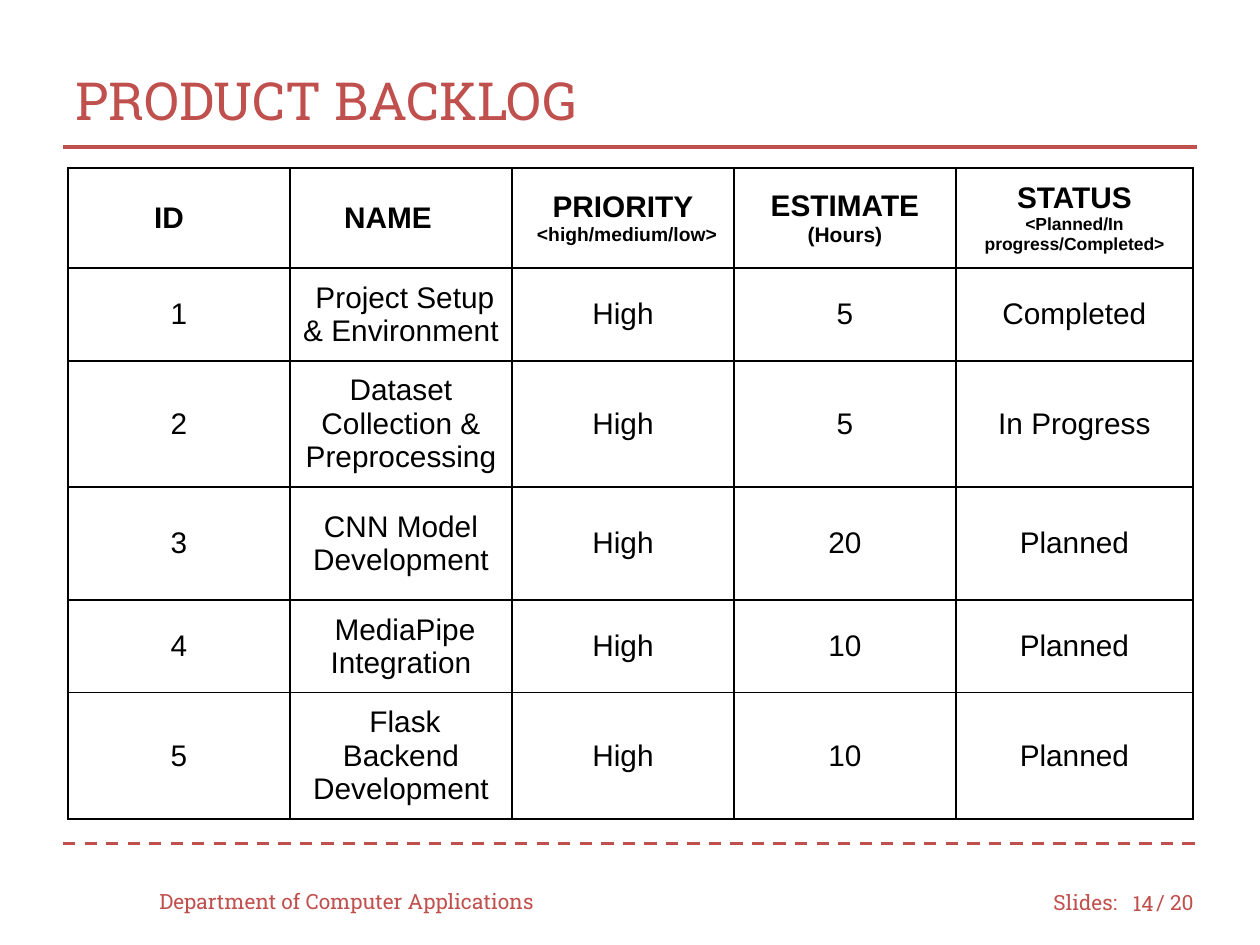
from pptx import Presentation
from pptx.dml.color import RGBColor
from pptx.enum.dml import MSO_LINE
from pptx.enum.shapes import MSO_CONNECTOR
from pptx.enum.text import MSO_ANCHOR, PP_ALIGN
from pptx.oxml.ns import qn
from pptx.util import Emu, Pt
from lxml import etree

LEFT, CENTER, RIGHT = PP_ALIGN.LEFT, PP_ALIGN.CENTER, PP_ALIGN.RIGHT
MIDDLE = MSO_ANCHOR.MIDDLE
DASH = MSO_LINE.DASH
STRAIGHT = MSO_CONNECTOR.STRAIGHT
TITLE_ONLY = 5

COLORS = {"accent": "C0504D", "text": "000000", "cell": "FFFFFF"}
SLAB, SANS = "Roboto Slab", "Arial"
CELL_MARGIN = 13

COLUMN_WIDTHS = [222, 222, 222, 222, 237]
ROW_HEIGHTS = [100, 91, 126, 113, 92, 126]
# Each heading is a list of lines: text, size, alignment, left indent
HEADINGS = [
    [("ID", 17, LEFT, 73)],
    [("NAME", 17, LEFT, 41)],
    [("PRIORITY", 17, CENTER, 0), ("<high/medium/low>", 11, LEFT, 12)],
    [("ESTIMATE", 17, CENTER, 0), ("(Hours)", 12, CENTER, 0)],
    [("STATUS", 17, CENTER, 0), ("<Planned/In progress/Completed>", 10, CENTER, 0)],
]
# Name, first-line indent, priority, hours, status
TASKS = [
    ("Project Setup & Environment", 8, "High", "5", "Completed"),
    ("Dataset Collection & Preprocessing", 0, "High", "5", "In Progress"),
    ("CNN Model Development", 0, "High", "20", "Planned"),
    ("MediaPipe Integration", 8, "High", "10", "Planned"),
    ("Flask Backend Development", 8, "High", "10", "Planned"),
]


def px(length):
    return Emu(round(length * 914400 / 126))


def color(name):
    return RGBColor.from_string(COLORS[name])


def write(para, text, size=17, font=SANS, fill="text", bold=False,
          align=CENTER, margin=0, indent=0):
    """Fill a paragraph with one formatted span."""
    para.alignment = align
    properties = para._p.get_or_add_pPr()
    properties.set("marL", str(px(margin)))
    properties.set("indent", str(px(indent)))
    span = para.add_run()
    span.text = text
    span.font.size = Pt(size)
    span.font.name = font
    span.font.bold = bold
    span.font.color.rgb = color(fill)


def add_rule(page, left, top, width, dash=None):
    rule = page.shapes.add_connector(
        STRAIGHT, px(left), px(top), px(left + width), px(top))
    rule.line.color.rgb = color("accent")
    rule.line.width = Pt(1.75)
    if dash is not None:
        rule.line.dash_style = dash
    etree.SubElement(rule._element.spPr, qn("a:effectLst"))


def add_header(page, left, top, width, height):
    title = page.shapes.title
    title.left, title.top = px(left), px(top)
    title.width, title.height = px(width), px(height)
    title.text_frame.vertical_anchor = MIDDLE
    write(title.text_frame.paragraphs[0], "PRODUCT BACKLOG", size=30,
          font=SLAB, fill="accent", align=LEFT)
    add_rule(page, left, top + 105, width)


def style_cell(cell):
    """Give a cell its margins, black borders and plain fill."""
    cell.margin_left = cell.margin_right = px(CELL_MARGIN)
    cell.margin_top = cell.margin_bottom = px(CELL_MARGIN)
    cell.vertical_anchor = MIDDLE
    properties = cell._tc.get_or_add_tcPr()
    for side in ("lnL", "lnR", "lnT", "lnB"):
        border = etree.SubElement(properties, qn("a:" + side), w=str(Pt(1)))
        paint = etree.SubElement(border, qn("a:solidFill"))
        etree.SubElement(paint, qn("a:srgbClr"), val=COLORS["text"])
    cell.fill.solid()
    cell.fill.fore_color.rgb = color("cell")


def add_backlog(page, left, top):
    frame = page.shapes.add_table(
        len(ROW_HEIGHTS), len(COLUMN_WIDTHS), px(left), px(top),
        px(sum(COLUMN_WIDTHS)), px(sum(ROW_HEIGHTS)))
    table = frame.table
    table.first_row = table.horz_banding = False
    for column, width in zip(table.columns, COLUMN_WIDTHS):
        column.width = px(width)
    for row, height in zip(table.rows, ROW_HEIGHTS):
        row.height = px(height)
    for cell in table.iter_cells():
        style_cell(cell)

    for column, lines in enumerate(HEADINGS):
        text_frame = table.cell(0, column).text_frame
        for number, (text, size, align, margin) in enumerate(lines):
            para = text_frame.add_paragraph() if number else text_frame.paragraphs[0]
            write(para, text, size=size, bold=True, align=align, margin=margin)

    for row, (name, indent, *details) in enumerate(TASKS, start=1):
        for column, text in enumerate([str(row), name, *details]):
            para = table.cell(row, column).text_frame.paragraphs[0]
            write(para, text, indent=indent if column == 1 else 0)


def add_footer(page, left, top, width):
    add_rule(page, left, top, width, dash=DASH)
    labels = [
        ("Department of Computer Applications", 84, 32, 420, LEFT),
        ("Slides:", 978, 33, 94, LEFT),
        ("14", 1050, 34, 53, RIGHT),
        ("/ 20", 1081, 33, 73, LEFT),
    ]
    for text, across, down, label_width, align in labels:
        box = page.shapes.add_textbox(
            px(left + across), px(top + down), px(label_width), px(50))
        box.text_frame.word_wrap = True
        box.text_frame.vertical_anchor = MIDDLE
        write(box.text_frame.paragraphs[0], text, size=12, font=SLAB,
              fill="accent", align=align)


def main():
    deck = Presentation()
    deck.slide_width, deck.slide_height = px(1260), px(945)
    page = deck.slides.add_slide(deck.slide_layouts[TITLE_ONLY])
    add_header(page, 63, 42, 1134, 116)
    add_backlog(page, 68, 168)
    add_footer(page, 63, 844, 1134)
    deck.save("out.pptx")


if __name__ == "__main__":
    main()
